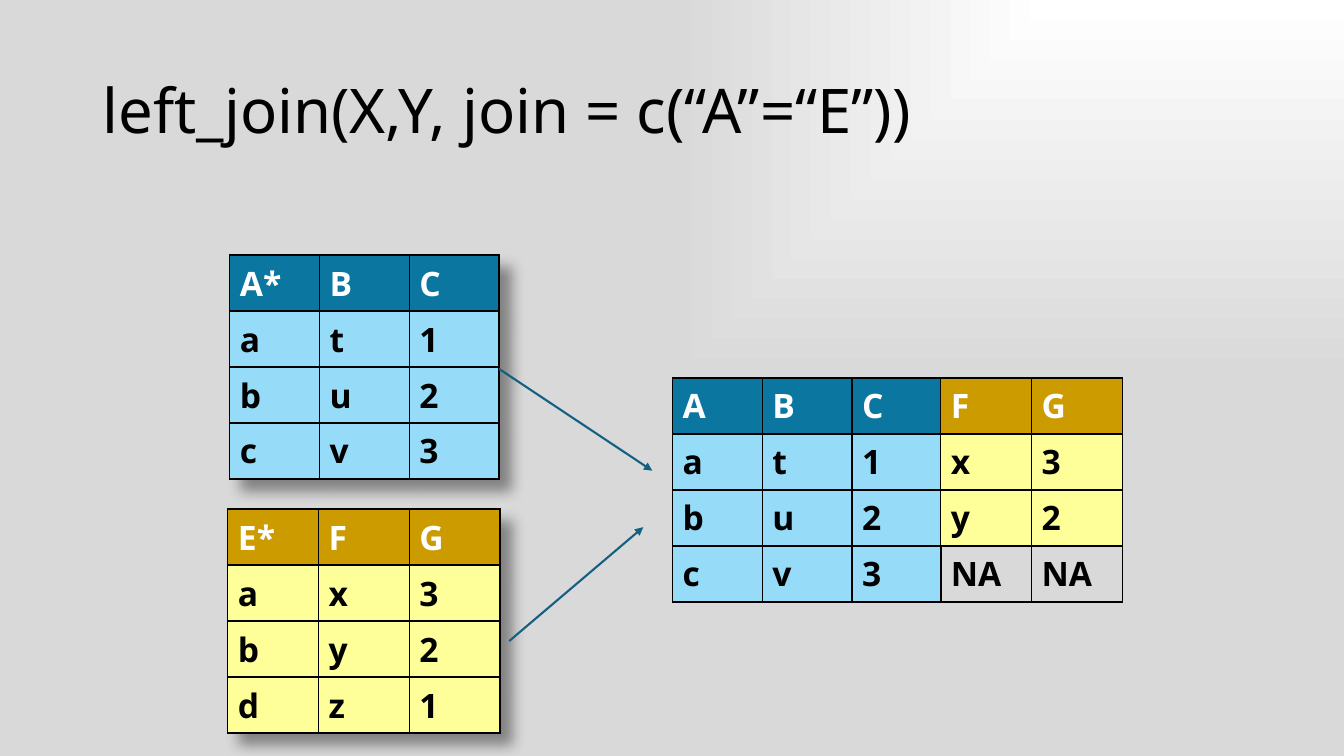
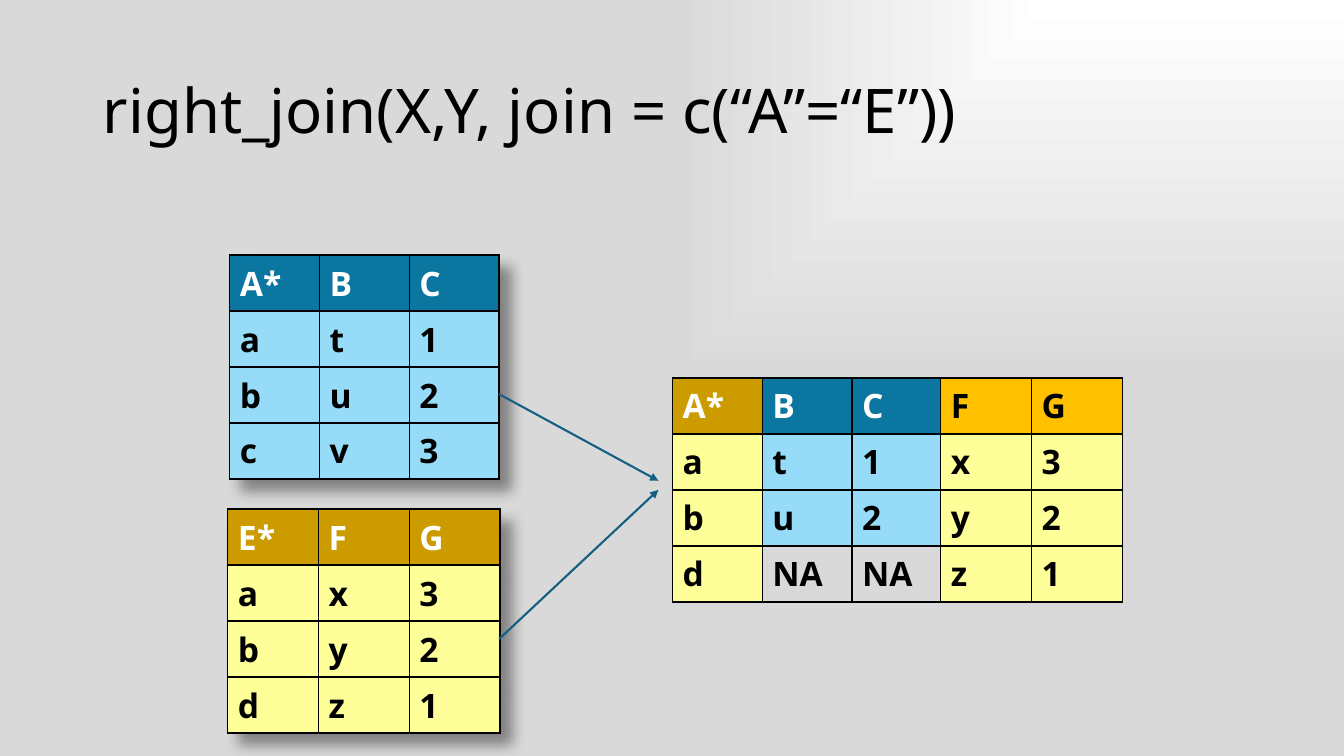
from dataclasses import dataclass

from pptx import Presentation
from pptx import oxml as ox
from pptx.dml.color import RGBColor
from pptx.enum import shapes as es, text as et
from pptx.oxml import ns
from pptx.util import Inches, Pt


@dataclass(frozen=True)
class Theme:
    font: str = "Noto Sans"
    big: int = 44
    body: int = 24
    ink: str = "000000"
    white: str = "FFFFFF"
    gray: str = "D9D9D9"
    line: str = "156082"
    rule: float = 1
    arrow: float = 1.5


T = Theme()

TINTS = {
    "blue": ("0B76A0", T.white, "96DCF8"),
    "gold": ("CC9B00", T.white, "FFFF99"),
    "amber": ("FFC000", T.ink, "FFFF99"),
}

ROW = 0.555
NARROW, WIDE = 0.89, 0.9

INPUTS = [
    dict(at=(2.28, 2.53), col=NARROW, tints=["blue"] * 3, shade=True,
         rows=["A* B C", "a t 1", "b u 2", "c v 3"]),
    dict(at=(2.26, 5.05), col=WIDE, tints=["gold"] * 3, shade=True,
         rows=["E* F G", "a x 3", "b y 2", "d z 1"]),
]
LEFT = dict(at=(6.67, 3.75), col=NARROW)
RIGHT = dict(at=(9.33, 3.75), col=WIDE)

SLIDES = [
    dict(
        title="left_join(X,Y, join = c(“A”=“E”))",
        tables=[
            dict(LEFT, tints=["blue"] * 3,
                 rows=["A B C", "a t 1", "b u 2", "c v 3"]),
            dict(RIGHT, tints=["gold"] * 2,
                 rows=["F G", "x 3", "y 2", "NA NA"]),
        ],
        arrows=[(4.95, 3.66, 6.47, 4.67), (5.05, 6.36, 6.38, 5.23)],
    ),
    dict(
        title="right_join(X,Y, join = c(“A”=“E”))",
        tables=[
            dict(LEFT, tints=["gold", "blue", "blue"],
                 rows=["A* B C", "a t 1", "b u 2", "d NA NA"]),
            dict(RIGHT, tints=["amber"] * 2,
                 rows=["F G", "x 3", "y 2", "z 1"]),
        ],
        arrows=[(4.95, 3.91, 6.53, 4.77), (4.95, 6.34, 6.53, 4.86)],
    ),
]


def rgb(code):
    return RGBColor.from_string(code)


def node(tag, inner="", **attrs):
    pairs = "".join(f' {key}="{val}"' for key, val in attrs.items())
    return ox.parse_xml(
        f'<a:{tag} {ns.nsdecls("a")}{pairs}>{inner}</a:{tag}>')


def write(frame, words, size=T.body, color=T.ink, bold=False, space=None):
    para = frame.paragraphs[0]
    para.alignment = et.PP_ALIGN.LEFT
    para.line_spacing = space
    run = para.add_run()
    run.text = words
    font = run.font
    font.name, font.size, font.bold = T.font, Pt(size), bold
    font.color.rgb = rgb(color)


def backdrop(master):
    fill = master.background.fill
    fill.gradient()
    for stop, (place, code) in zip(fill.gradient_stops,
                                   [(0, T.white), (1, T.gray)]):
        stop.position = place
        stop.color.rgb = rgb(code)
    grad = master.element.find(".//" + ns.qn("a:gradFill"))
    grad.replace(grad.find(ns.qn("a:lin")), node(
        "path", '<a:fillToRect l="100000" b="100000"/>', path="rect"))


def border(cell):
    props = cell._tc.get_or_add_tcPr()
    ink = f'<a:solidFill><a:srgbClr val="{T.ink}"/></a:solidFill>'
    for side in "LRTB":
        props.append(node("ln" + side, ink, w=Pt(T.rule)))


def shadow(table):
    tint = f'<a:srgbClr val="{T.ink}"><a:alpha val="40000"/></a:srgbClr>'
    drop = (f'<a:outerShdw blurRad="{Inches(0.14)}" dist="{Inches(0.16)}" '
            f'dir="2700000" algn="tl" rotWithShape="0">{tint}</a:outerShdw>')
    table._tbl.tblPr.insert(0, node("effectLst", drop))


def grid(slide, at, col, tints, rows, shade=False):
    cells = [row.split() for row in rows]
    x, y = at
    table = slide.shapes.add_table(
        len(cells), len(tints), Inches(x), Inches(y),
        Inches(col * len(tints)), Inches(ROW * len(cells))).table
    for part in table.columns:
        part.width = Inches(col)
    for part in table.rows:
        part.height = Inches(ROW)
    for r, row in enumerate(cells):
        for c, (words, tint) in enumerate(zip(row, tints)):
            head, ink, pale = TINTS[tint]
            cell = table.cell(r, c)
            border(cell)
            if words == "NA":
                cell.fill.background()
            else:
                cell.fill.solid()
                cell.fill.fore_color.rgb = rgb(pale if r else head)
            write(cell.text_frame, words, bold=True,
                  color=T.ink if r else ink)
    if shade:
        shadow(table)


def arrow(slide, ends):
    link = slide.shapes.add_connector(
        es.MSO_CONNECTOR.STRAIGHT, *map(Inches, ends))
    link.line.color.rgb = rgb(T.line)
    link.line.width = Pt(T.arrow)
    link.line._get_or_add_ln().append(node("tailEnd", type="triangle"))
    link._element.spPr.append(node("effectLst"))


def heading(slide, words):
    title = slide.shapes.title
    title.left, title.top = Inches(0.92), Inches(0.4)
    title.width, title.height = Inches(11.5), Inches(1.45)
    frame = title.text_frame
    frame.auto_size = et.MSO_AUTO_SIZE.NONE
    frame.vertical_anchor = et.MSO_ANCHOR.MIDDLE
    write(frame, words, size=T.big, space=0.9)


def main():
    deck = Presentation()
    deck.slide_width, deck.slide_height = Inches(13.33), Inches(7.5)
    backdrop(deck.slide_master)
    for page in SLIDES:
        slide = deck.slides.add_slide(deck.slide_layouts[5])
        heading(slide, page["title"])
        for table in INPUTS + page["tables"]:
            grid(slide, **table)
        for ends in page["arrows"]:
            arrow(slide, ends)
    deck.save("out.pptx")


if __name__ == "__main__":
    main()
